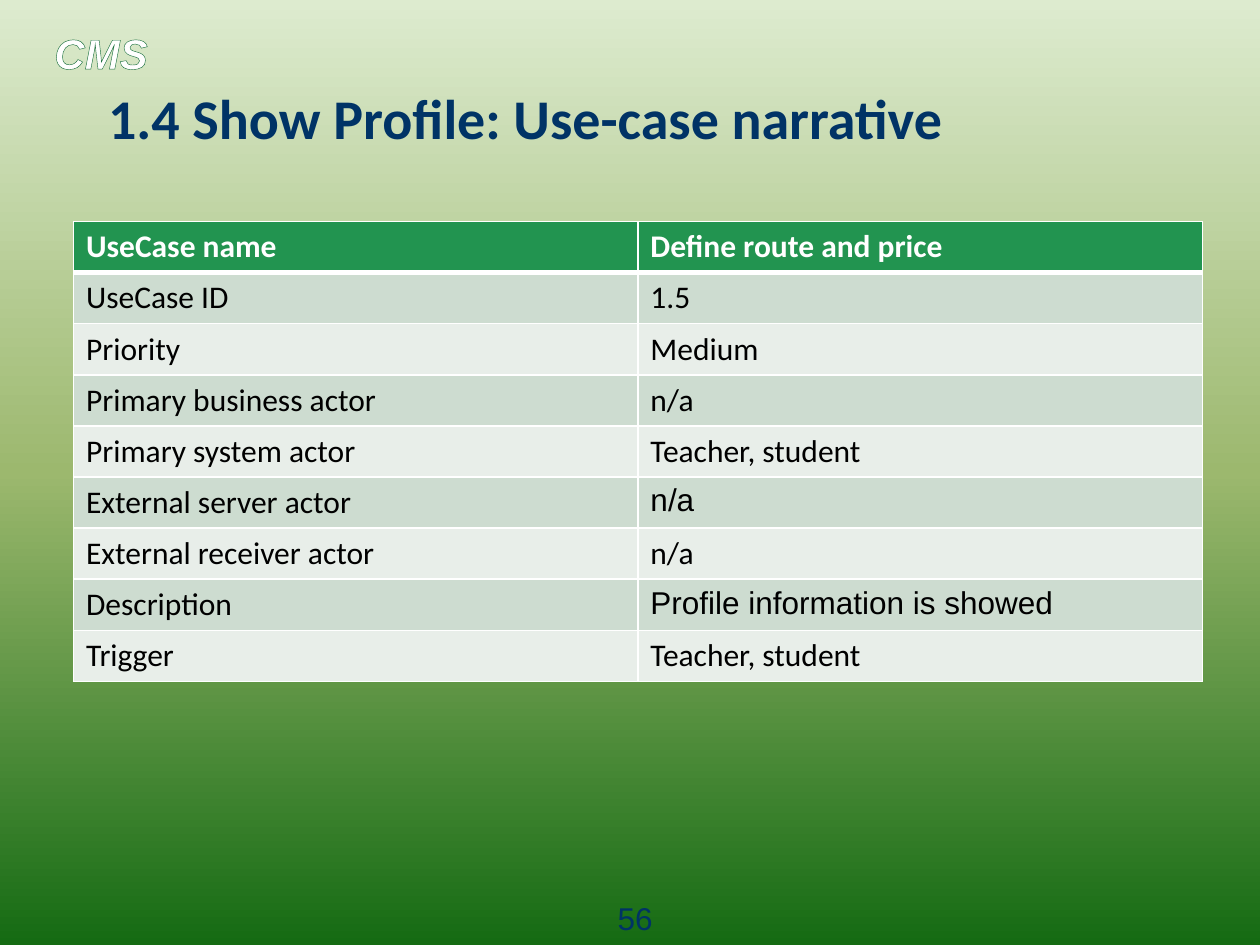
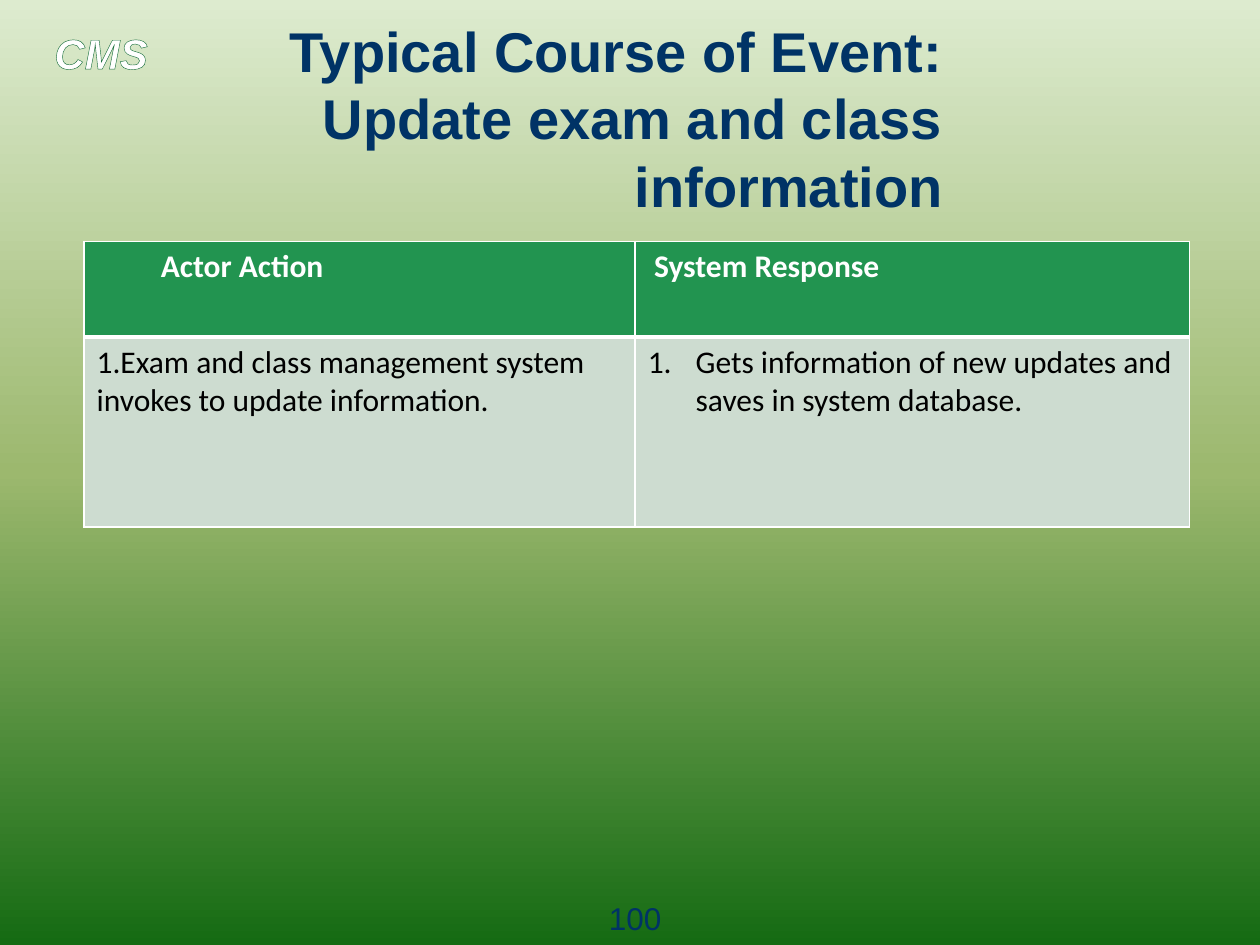
from dataclasses import dataclass

from lxml import etree
from pptx import Presentation
from pptx.dml.color import RGBColor
from pptx.enum.text import MSO_ANCHOR, PP_ALIGN
from pptx.oxml.ns import qn
from pptx.util import Inches, Pt

LEFT, CENTER, RIGHT = PP_ALIGN.LEFT, PP_ALIGN.CENTER, PP_ALIGN.RIGHT
TOP, MIDDLE = MSO_ANCHOR.TOP, MSO_ANCHOR.MIDDLE
HEADING, BODY = "Arial", "Calibri"

COLORS = {
    "sky": "DDEBCF", "meadow": "9CB86E", "forest": "156B13",
    "navy": "003366", "white": "FFFFFF", "black": "000000",
    "outline": "196F3C", "header": "229450",
    "band_dark": "CDDCD0", "band_light": "E8EEE9",
}
BACKGROUND_STOPS = ((0, "sky"), (50, "meadow"), (100, "forest"))

# Grid of 120 columns by 90 rows
SLIDE_W, SLIDE_H = Inches(10), Inches(7.5)
COL, ROW = SLIDE_W / 120, SLIDE_H / 90


@dataclass(frozen=True)
class Label:
    """Text box: place in grid units, then type style."""
    left: float
    top: float
    width: float
    height: float
    size: int
    color: str
    align: PP_ALIGN = LEFT
    anchor: MSO_ANCHOR = TOP
    bold: bool = False
    italic: bool = False
    outline: str = ""


@dataclass(frozen=True)
class Cell:
    text: str
    font: str = BODY
    margin: float = 0
    numbered: bool = False


@dataclass(frozen=True)
class Table:
    left: float
    top: float
    cols: tuple[float, ...]
    rows: tuple[float, ...]
    cells: tuple[tuple[Cell, ...], ...]


@dataclass(frozen=True)
class Page:
    title: str
    title_font: str
    number: int
    table: Table


COURSE_TAG = Label(4, 2, 18, 6, 24, "white", bold=True, italic=True, outline="outline")
TITLE = Label(7, 8, 84, 6.4, 32, "navy", RIGHT, MIDDLE, bold=True)
PAGE_NUMBER = Label(55, 85, 11, 3.5, 18, "navy", CENTER)

NARRATIVE = (
    (Cell("UseCase name"), Cell("Define route and price")),
    (Cell("UseCase ID"), Cell("1.5")),
    (Cell("Priority"), Cell("Medium")),
    (Cell("Primary business actor"), Cell("n/a")),
    (Cell("Primary system actor"), Cell("Teacher, student")),
    (Cell("External server actor"), Cell("n/a", HEADING)),
    (Cell("External receiver actor"), Cell("n/a")),
    (Cell("Description"), Cell("Profile information is showed", HEADING)),
    (Cell("Trigger"), Cell("Teacher, student")),
)
COURSE_OF_EVENT = (
    (Cell("Actor Action", margin=0.51), Cell("System Response", margin=0.05)),
    (Cell("1.Exam and class management system invokes to update information."),
     Cell("Gets information of new updates and saves in system database.",
          margin=0.38, numbered=True)),
)

PAGES = (
    Page("1.4 Show Profile: Use-case narrative", BODY, 56,
         Table(7, 21.1, (53.75,) * 2, (4.87,) * len(NARRATIVE), NARRATIVE)),
    Page("Typical Course of Event: Update exam and class information", HEADING, 100,
         Table(8, 23, (52.5, 52.8), (9.1, 18.1), COURSE_OF_EVENT)),
)


def rgb(name: str) -> RGBColor:
    return RGBColor.from_string(COLORS[name])


def add_color(parent, name: str) -> None:
    etree.SubElement(parent, qn("a:srgbClr"), val=COLORS[name])


def make_line(tag: str, name: str, points: float):
    line = etree.Element(qn(tag), w=str(Pt(points)))
    add_color(etree.SubElement(line, qn("a:solidFill")), name)
    return line


def add_run(p, text: str, font: str, size: int, color: str, bold: bool, italic: bool = False):
    r = p.add_run()
    r.text = text
    r.font.name, r.font.size = font, Pt(size)
    r.font.bold, r.font.italic = bold, italic
    r.font.color.rgb = rgb(color)
    return r


def draw_background(s) -> None:
    fill = s.background.fill
    fill.gradient()
    fill.gradient_angle = 270
    stops = s.element.find(".//" + qn("a:gsLst"))
    stops.clear()
    for percent, name in BACKGROUND_STOPS:
        add_color(etree.SubElement(stops, qn("a:gs"), pos=str(percent * 1000)), name)


def draw_label(s, label: Label, text: str, font: str = HEADING) -> None:
    sp = s.shapes.add_textbox(round(label.left * COL), round(label.top * ROW),
                              round(label.width * COL), round(label.height * ROW))
    tf = sp.text_frame
    tf.word_wrap = True
    tf.vertical_anchor = label.anchor
    p = tf.paragraphs[0]
    p.alignment = label.align
    r = add_run(p, text, font, label.size, label.color, label.bold, label.italic)
    if label.outline:
        r.font._element.insert(0, make_line("a:ln", label.outline, 1))


def draw_cell(target, cell: Cell, row: int) -> None:
    header = row == 0
    # Borders: a heavy rule under the header, thin lines elsewhere
    borders = {"L": 1, "R": 1, "T": 1, "B": 3} if header else {"L": 1, "R": 1, "B": 1}
    tc_pr = target._tc.get_or_add_tcPr()
    for side, points in borders.items():
        tc_pr.append(make_line("a:ln" + side, "white", points))
    target.fill.solid()
    band = "band_dark" if row % 2 else "band_light"
    target.fill.fore_color.rgb = rgb("header" if header else band)

    p = target.text_frame.paragraphs[0]
    p_pr = p._p.get_or_add_pPr()
    if cell.margin:
        p_pr.set("marL", str(Inches(cell.margin)))
    if cell.numbered:
        p_pr.set("indent", str(-Inches(cell.margin)))
        etree.SubElement(p_pr, qn("a:buAutoNum"), type="arabicPeriod")
    add_run(p, cell.text, cell.font, 18, "white" if header else "black", header)


def draw_table(s, table: Table) -> None:
    grid = s.shapes.add_table(
        len(table.rows), len(table.cols), round(table.left * COL), round(table.top * ROW),
        round(sum(table.cols) * COL), round(sum(table.rows) * ROW)).table
    for column, width in zip(grid.columns, table.cols):
        column.width = round(width * COL)
    for row, height in zip(grid.rows, table.rows):
        row.height = round(height * ROW)
    for i, cells in enumerate(table.cells):
        for j, cell in enumerate(cells):
            draw_cell(grid.cell(i, j), cell, i)


def main() -> None:
    prs = Presentation()
    prs.slide_width, prs.slide_height = SLIDE_W, SLIDE_H
    for page in PAGES:
        s = prs.slides.add_slide(prs.slide_layouts[6])
        draw_background(s)
        draw_label(s, COURSE_TAG, "CMS")
        draw_label(s, TITLE, page.title, page.title_font)
        draw_table(s, page.table)
        draw_label(s, PAGE_NUMBER, str(page.number))
    prs.save("out.pptx")


if __name__ == "__main__":
    main()
